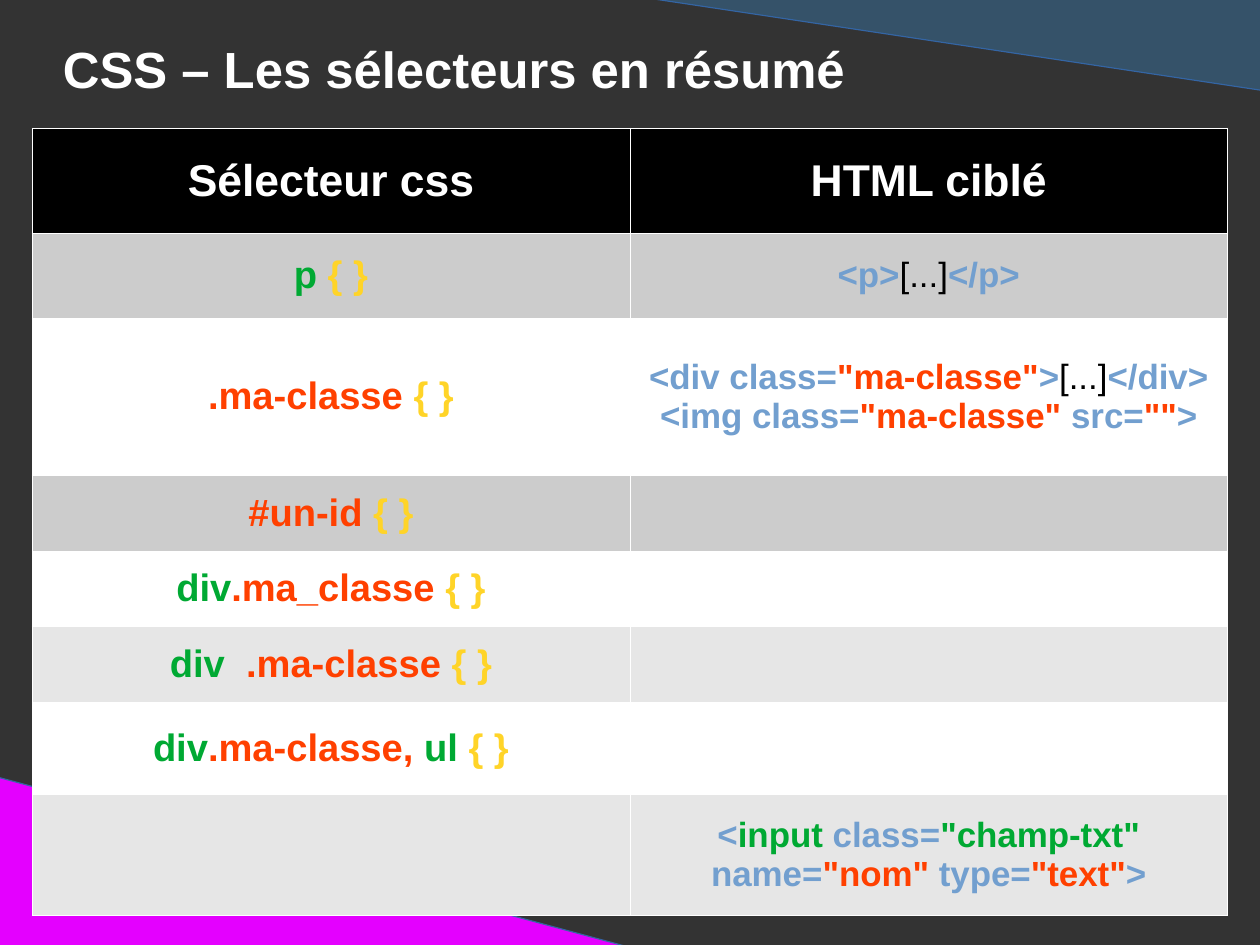
import dataclasses
import typing

import lxml.etree
import pptx
import pptx.dml.color
import pptx.enum.shapes
import pptx.enum.text
import pptx.oxml.ns
import pptx.slide
import pptx.table
import pptx.text.text
import pptx.util

Inches = pptx.util.Inches

COLORS = {
    "background": "333333", "blue panel": "355269", "magenta panel": "E400FF",
    "panel line": "3465A4", "white": "FFFFFF", "black": "000000",
    "gray": "CCCCCC", "light gray": "E6E6E6", "element": "00A933",
    "braces": "FFD428", "markup": "729FCF", "name": "FF4000",
}
FONT = "Arial"
LINE_BREAK = "\v"


class Fragment(typing.NamedTuple):
    text: str
    color: str


@dataclasses.dataclass
class Corner:
    left: float
    top: float
    width: float
    height: float
    flip: str
    color: str


@dataclasses.dataclass
class Row:
    height: float
    fill: str
    selector: list[Fragment]
    html: list[Fragment]
    selector_size: int = 24
    html_size: int = 22


CORNERS = [
    Corner(7.81, -2.49, 0.86, 5.72, "flipH", "blue panel"),
    Corner(2.07, 4.71, 1.54, 5.72, "flipV", "magenta panel"),
]

BRACES = Fragment("{ }", "braces")
CLASS_VALUE = Fragment('"ma-classe"', "name")
CONTENT = Fragment("[...]", "black")
CLOSE = Fragment(">", "markup")

ROWS = [
    Row(0.92, "black", [Fragment("Sélecteur css", "white")],
        [Fragment("HTML ciblé", "white")], 28, 28),
    Row(0.74, "gray", [Fragment("p ", "element"), BRACES],
        [Fragment("<p>", "markup"), CONTENT, Fragment("</p>", "markup")]),
    Row(1.38, "white", [Fragment(".ma-classe ", "name"), BRACES],
        [Fragment("<div class=", "markup"), CLASS_VALUE, CLOSE, CONTENT,
         Fragment("</div>", "markup"), Fragment(LINE_BREAK, "markup"),
         Fragment("<img class=", "markup"), CLASS_VALUE,
         Fragment(" src=", "markup"), Fragment('""', "name"), CLOSE]),
    Row(0.66, "gray", [Fragment("#un-id ", "name"), BRACES], []),
    Row(0.66, "white", [Fragment("div", "element"),
                        Fragment(".ma_classe ", "name"), BRACES], []),
    Row(0.66, "light gray", [Fragment("div  ", "element"),
                             Fragment(".ma-classe ", "name"), BRACES], []),
    Row(0.81, "white", [Fragment("div", "element"), Fragment(".ma-classe, ", "name"),
                        Fragment("ul ", "element"), BRACES], []),
    Row(1.06, "light gray", [],
        [Fragment("<", "markup"), Fragment("input", "element"),
         Fragment(" class=", "markup"), Fragment('"champ-txt"', "element"),
         Fragment(" name=", "markup"), Fragment('"nom" ', "name"),
         Fragment("type=", "markup"), Fragment('"text"', "name"), CLOSE]),
]


def rgb(name: str) -> pptx.dml.color.RGBColor:
    return pptx.dml.color.RGBColor.from_string(COLORS[name])


def format_font(font: pptx.text.text.Font, size: int, color: str) -> None:
    font.name = FONT
    font.size = pptx.util.Pt(size)
    font.bold = color != "black"
    font.color.rgb = rgb(color)


def draw_corner(slide: pptx.slide.Slide, corner: Corner) -> None:
    shape = slide.shapes.add_shape(
        pptx.enum.shapes.MSO_SHAPE.RIGHT_TRIANGLE, Inches(corner.left),
        Inches(corner.top), Inches(corner.width), Inches(corner.height))
    shape.rotation = 270
    shape._element.spPr.xfrm.set(corner.flip, "1")
    shape.shadow.inherit = False
    shape.fill.solid()
    shape.fill.fore_color.rgb = rgb(corner.color)
    shape.line.color.rgb = rgb("panel line")
    shape.line.width = pptx.util.Pt(0)


def draw_title(slide: pptx.slide.Slide) -> None:
    title = slide.shapes.title
    title.left, title.top = Inches(0.55), Inches(0.33)
    title.width, title.height = Inches(9.92), Inches(0.75)
    frame = title.text_frame
    frame.text = "CSS – Les sélecteurs en résumé"
    frame.auto_size = pptx.enum.text.MSO_AUTO_SIZE.NONE
    frame.vertical_anchor = pptx.enum.text.MSO_ANCHOR.TOP
    frame.margin_left = frame.margin_right = 0
    frame.margin_top = frame.margin_bottom = 0
    paragraph = frame.paragraphs[0]
    paragraph.alignment = pptx.enum.text.PP_ALIGN.LEFT
    format_font(paragraph.runs[0].font, 32, "white")


def add_borders(cell: pptx.table._Cell) -> None:
    properties = cell._tc.get_or_add_tcPr()
    for side in ("a:lnL", "a:lnR", "a:lnT", "a:lnB"):
        line = lxml.etree.SubElement(
            properties, pptx.oxml.ns.qn(side), w=str(pptx.util.Pt(0.06)))
        fill = lxml.etree.SubElement(line, pptx.oxml.ns.qn("a:solidFill"))
        lxml.etree.SubElement(
            fill, pptx.oxml.ns.qn("a:srgbClr"), val=COLORS["white"])


def fill_cell(cell: pptx.table._Cell, fragments: list[Fragment],
              size: int, fill: str) -> None:
    add_borders(cell)
    cell.fill.solid()
    cell.fill.fore_color.rgb = rgb(fill)
    cell.vertical_anchor = pptx.enum.text.MSO_ANCHOR.MIDDLE
    paragraph = cell.text_frame.paragraphs[0]
    paragraph.alignment = pptx.enum.text.PP_ALIGN.CENTER
    for fragment in fragments:
        if fragment.text == LINE_BREAK:
            paragraph.add_line_break()
            continue
        run = paragraph.add_run()
        run.text = fragment.text
        format_font(run.font, size, fragment.color)


def draw_table(slide: pptx.slide.Slide) -> None:
    height = sum(row.height for row in ROWS)
    table = slide.shapes.add_table(
        len(ROWS), 2, Inches(0.28), Inches(1.12), Inches(10.46), Inches(height)).table
    table.first_row = table.horz_banding = False
    for index, row in enumerate(ROWS):
        table.rows[index].height = Inches(row.height)
        fill_cell(table.cell(index, 0), row.selector, row.selector_size, row.fill)
        fill_cell(table.cell(index, 1), row.html, row.html_size, row.fill)


def main() -> None:
    presentation = pptx.Presentation()
    # A 28 by 21 centimetre page
    presentation.slide_width = Inches(28 / 2.54)
    presentation.slide_height = Inches(21 / 2.54)
    slide = presentation.slides.add_slide(presentation.slide_layouts[5])
    slide.background.fill.solid()
    slide.background.fill.fore_color.rgb = rgb("background")

    # Corner panels
    for corner in CORNERS:
        draw_corner(slide, corner)

    # Title and selector table
    draw_title(slide)
    draw_table(slide)
    presentation.save("out.pptx")


if __name__ == "__main__":
    main()
